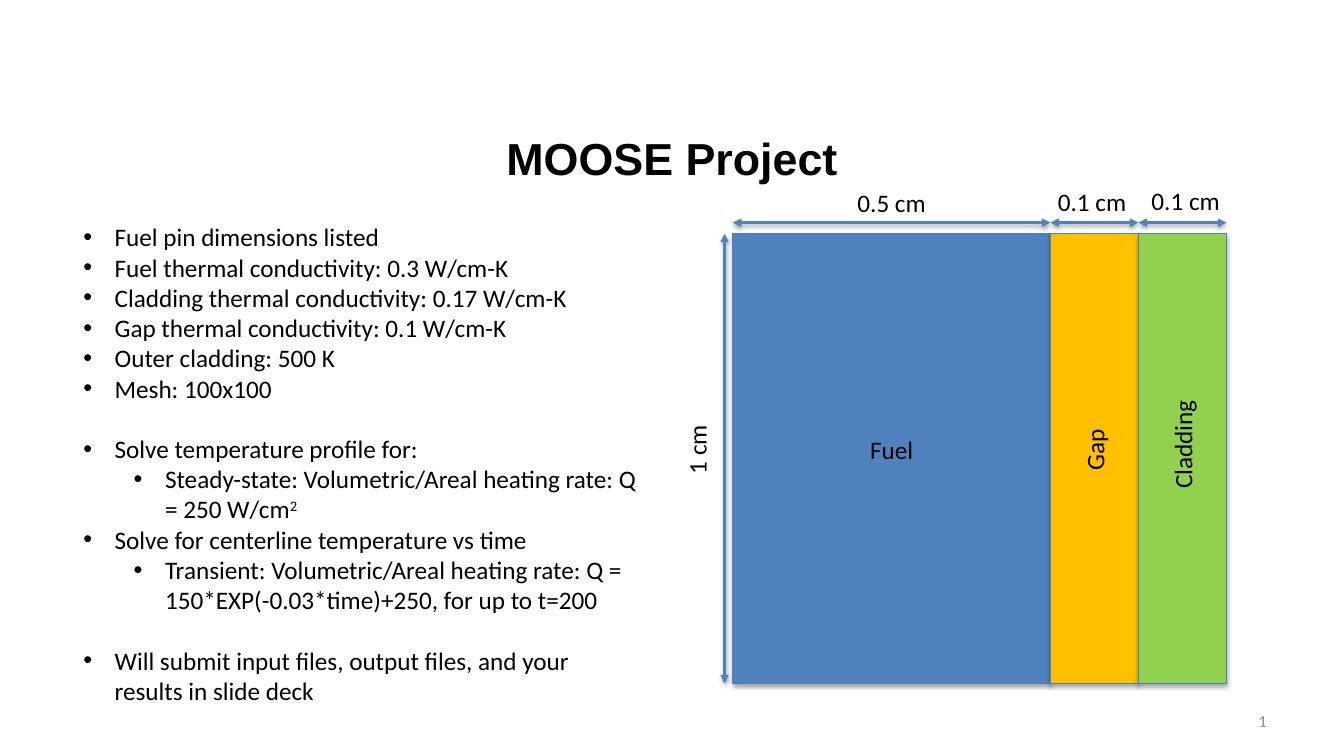
from lxml import etree
from pptx import Presentation
from pptx.dml.color import RGBColor
from pptx.enum.shapes import MSO_CONNECTOR, MSO_SHAPE
from pptx.enum.text import MSO_ANCHOR, PP_ALIGN
from pptx.oxml.ns import qn
from pptx.util import Cm, Pt

LEFT, CENTER, RIGHT = PP_ALIGN.LEFT, PP_ALIGN.CENTER, PP_ALIGN.RIGHT
TOP, MIDDLE = MSO_ANCHOR.TOP, MSO_ANCHOR.MIDDLE
RECTANGLE, STRAIGHT = MSO_SHAPE.RECTANGLE, MSO_CONNECTOR.STRAIGHT

BLACK = RGBColor(0x00, 0x00, 0x00)
GRAY = RGBColor(0x8C, 0x8C, 0x8C)
BLUE = RGBColor(0x4F, 0x81, 0xBD)
EDGE = RGBColor(0x4B, 0x7E, 0xBC)
ORANGE = RGBColor(0xFF, 0xC0, 0x00)
GREEN = RGBColor(0x92, 0xD0, 0x50)

PIN_LEFT, PIN_TOP, PIN_HEIGHT = 18.47, 5.89, 11.33
LABEL_WIDTH, LABEL_HEIGHT = 4.55, 1.02
ARROW_ROW, ARROW_COLUMN = 5.61, 18.26
MIDDLE_ROW = 11.33

LAYERS = [
    ("Fuel", 8.0, BLUE, 0, MIDDLE_ROW, "0.5 cm", 22.47, 5.11),
    ("Gap", 2.22, ORANGE, 270, MIDDLE_ROW, "0.1 cm", 27.52, 5.08),
    ("Cladding", 2.22, GREEN, 270, 11.2, "0.1 cm", 29.88, 5.05),
]

TASKS = [
    ("Fuel pin dimensions listed", 0, 0, ""),
    ("Fuel thermal conductivity: 0.3 W/cm-K", 0, 0, ""),
    ("Cladding thermal conductivity: 0.17 W/cm-K", 0, 0, ""),
    ("Gap thermal conductivity: 0.1 W/cm-K", 0, 0, ""),
    ("Outer cladding: 500 K", 0, 0, ""),
    ("Mesh: 100x100", 0, 0, ""),
    ("Solve temperature profile for:", 0, 21.6, ""),
    ("Steady-state: Volumetric/Areal heating rate: Q = 250 W/cm", 1, 0, "2"),
    ("Solve for centerline temperature vs time", 0, 0, ""),
    ("Transient: Volumetric/Areal heating rate: Q = 150*EXP(-0.03*time)+250, "
     "for up to t=200", 1, 0, ""),
    ("Will submit input files, output files, and your results in slide deck",
     0, 21.6, ""),
]


def write(para, text, size=18, font="Calibri", color=BLACK, bold=False,
          align=LEFT, raised=False):
    para.alignment = align
    span = para.add_run()
    span.text = text
    span.font.size = Pt(size)
    span.font.name = font
    span.font.color.rgb = color
    span.font.bold = bold
    if raised:
        span._r.get_or_add_rPr().set("baseline", "30000")


def add_shadow(effects, distance, opacity):
    shadow = etree.SubElement(
        effects, qn("a:outerShdw"), blurRad=str(Pt(3.1)),
        dist=str(Pt(distance)), dir="5400000", rotWithShape="0")
    color = etree.SubElement(shadow, qn("a:srgbClr"), val=str(BLACK))
    etree.SubElement(color, qn("a:alpha"), val=str(opacity * 1000))


class FuelPinPage:
    """Draws the elements of the fuel pin slide in one shared style."""

    def __init__(self, deck):
        self.page = deck.slides.add_slide(deck.slide_layouts[6])

    def text_box(self, left, top, width, height, anchor=TOP):
        box = self.page.shapes.add_textbox(
            Cm(left), Cm(top), Cm(width), Cm(height))
        box.text_frame.word_wrap = True
        box.text_frame.vertical_anchor = anchor
        return box

    def label(self, text, center, middle, rotation=0):
        box = self.text_box(center - LABEL_WIDTH / 2, middle - LABEL_HEIGHT / 2,
                            LABEL_WIDTH, LABEL_HEIGHT)
        box.rotation = rotation
        write(box.text_frame.paragraphs[0], text, align=CENTER)

    def layer(self, left, width, color):
        block = self.page.shapes.add_shape(
            RECTANGLE, Cm(left), Cm(PIN_TOP), Cm(width), Cm(PIN_HEIGHT))
        block.fill.solid()
        block.fill.fore_color.rgb = color
        block.line.color.rgb = EDGE
        block.line.width = Pt(0.75)
        block.shadow.inherit = False
        add_shadow(block._element.spPr.find(qn("a:effectLst")), 1.8, 35)

    def arrow(self, *ends):
        arrow = self.page.shapes.add_connector(STRAIGHT, *map(Cm, ends))
        arrow.line.color.rgb = BLUE
        arrow.line.width = Pt(2)
        outline = arrow.line._get_or_add_ln()
        for end in ("a:headEnd", "a:tailEnd"):
            etree.SubElement(outline, qn(end), type="triangle")
        effects = etree.SubElement(arrow._element.spPr, qn("a:effectLst"))
        add_shadow(effects, 1.6, 38)

    def bullets(self, items, *place):
        frame = self.text_box(*place).text_frame
        for index, (text, level, gap, power) in enumerate(items):
            para = frame.add_paragraph() if index else frame.paragraphs[0]
            para.level = level
            marks = para._p.get_or_add_pPr()
            marks.set("marL", str(Cm(0.79 + 1.27 * level)))
            marks.set("indent", str(Cm(-0.79)))
            etree.SubElement(marks, qn("a:buFont"), typeface="Arial")
            etree.SubElement(marks, qn("a:buChar"), char="•")
            para.space_before = Pt(gap)
            write(para, text)
            if power:
                write(para, power, raised=True)


def main():
    deck = Presentation()
    deck.slide_width, deck.slide_height = Cm(33.87), Cm(19.05)
    page = FuelPinPage(deck)

    title = page.text_box(1.7, 2.49, 30.48, 2.97, MIDDLE)
    write(title.text_frame.paragraphs[0], "MOOSE Project", size=32,
          font="Arial", bold=True, align=CENTER)
    number = page.text_box(24.28, 17.65, 7.9, 1.02, MIDDLE)
    write(number.text_frame.paragraphs[0], "1", size=12, color=GRAY,
          align=RIGHT)
    page.bullets(TASKS, 1.85, 5.46, 14.6, 12.57)

    left = PIN_LEFT
    for name, width, color, turn, row, size, size_center, size_row in LAYERS:
        page.layer(left, width, color)
        page.arrow(left, ARROW_ROW, left + width, ARROW_ROW)
        page.label(name, left + width / 2, row, turn)
        page.label(size, size_center, size_row)
        left += width
    page.arrow(ARROW_COLUMN, PIN_TOP + PIN_HEIGHT, ARROW_COLUMN, PIN_TOP)
    page.label("1 cm", 17.56, MIDDLE_ROW, 270)

    deck.save("out.pptx")


if __name__ == "__main__":
    main()
